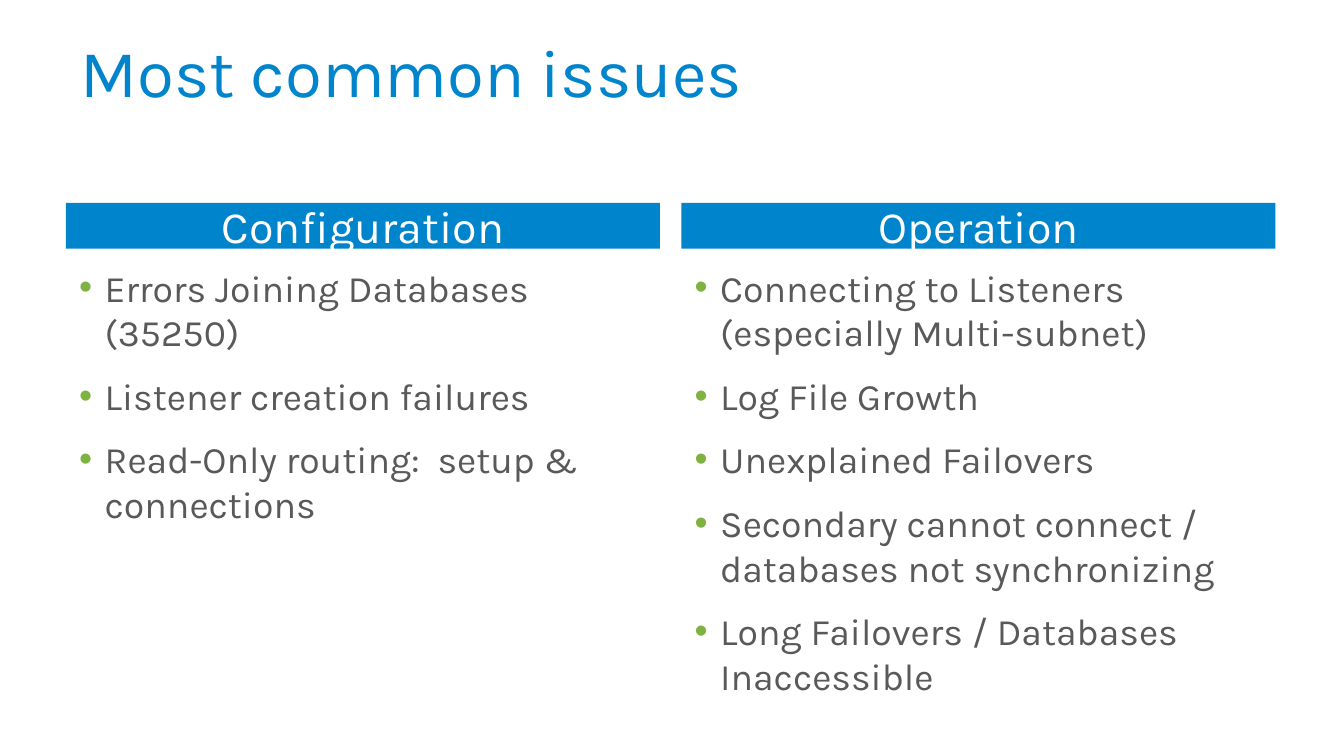
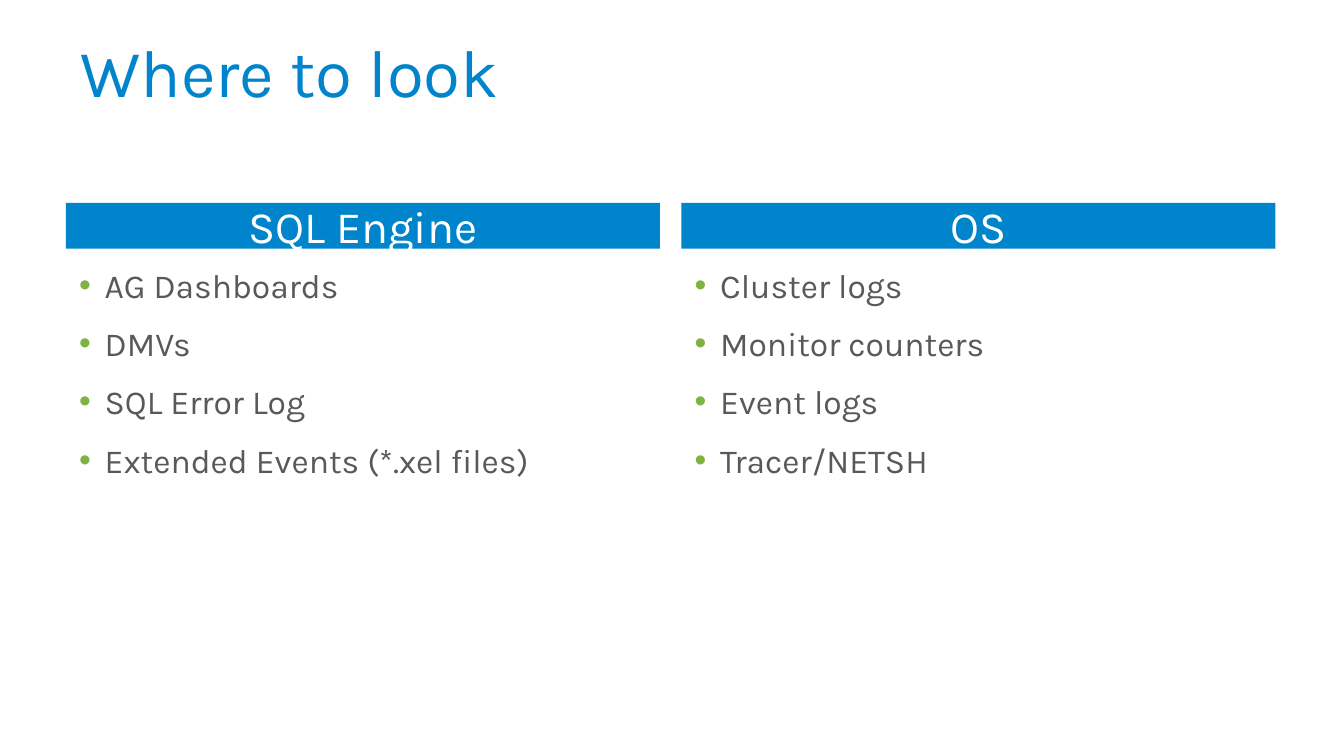
from lxml import etree
from pptx import Presentation
from pptx.dml.color import RGBColor
from pptx.enum.shapes import MSO_SHAPE
from pptx.enum.text import MSO_ANCHOR, MSO_AUTO_SIZE, PP_ALIGN
from pptx.oxml.ns import qn
from pptx.util import Emu, Pt

RECTANGLE = MSO_SHAPE.RECTANGLE
TOP, MIDDLE = MSO_ANCHOR.TOP, MSO_ANCHOR.MIDDLE
LEFT, CENTER = PP_ALIGN.LEFT, PP_ALIGN.CENTER
NO_AUTOFIT = MSO_AUTO_SIZE.NONE

EMU_PER_PX = 4572
SLIDE_SIZE = (2000, 1125)
TITLE_BOX = (100, 50, 1800, 134)
COLUMNS_BOX = (98, 302, 1800, 740)
COLUMN_GAP = 32
HEADING_HEIGHT = 68
LIST_OFFSET = 82
BULLET_INDENT = 38

FONT = "Karla"
COLORS = {"blue": "0084CC", "green": "7EB241", "gray": "595959", "white": "FFFFFF"}

SLIDES = [
    {
        "title": "Most common issues",
        "size": 20,
        "level": 2,
        "columns": [
            ("Configuration", [
                "Errors Joining Databases (35250)",
                "Listener creation failures",
                "Read-Only routing:  setup & connections",
            ]),
            ("Operation", [
                "Connecting to Listeners (especially Multi-subnet)",
                "Log File Growth",
                "Unexplained Failovers",
                "Secondary cannot connect / databases not synchronizing",
                "Long Failovers / Databases Inaccessible",
            ]),
        ],
    },
    {
        "title": "Where to look",
        "size": 18,
        "level": 0,
        "columns": [
            ("SQL Engine", [
                "AG Dashboards",
                "DMVs",
                "SQL Error Log",
                "Extended Events (*.xel files)",
            ]),
            ("OS", [
                "Cluster logs",
                "Monitor counters",
                "Event logs",
                "Tracer/NETSH",
            ]),
        ],
    },
]


def px(length):
    return Emu(length * EMU_PER_PX)


def apply_format(target, values):
    for name, value in values.items():
        setattr(target, name, value)


def place(shape, box):
    names = ("left", "top", "width", "height")
    apply_format(shape, dict(zip(names, map(px, box))))


def format_frame(frame, anchor, vertical_margin):
    apply_format(frame, {
        "word_wrap": True,
        "auto_size": NO_AUTOFIT,
        "vertical_anchor": anchor,
        "margin_left": px(20),
        "margin_right": px(20),
        "margin_top": px(vertical_margin),
        "margin_bottom": px(vertical_margin),
    })


def write(paragraph, text, size, color, **paragraph_format):
    run = paragraph.add_run()
    run.text = text
    apply_format(run.font, {"name": FONT, "size": Pt(size)})
    run.font.color.rgb = RGBColor.from_string(COLORS[color])
    apply_format(paragraph, paragraph_format)


def add_bullet(paragraph, color):
    properties = paragraph._p.get_or_add_pPr()
    properties.set("marL", str(px(BULLET_INDENT)))
    properties.set("indent", str(-px(BULLET_INDENT)))
    bullet_color = etree.SubElement(properties, qn("a:buClr"))
    etree.SubElement(bullet_color, qn("a:srgbClr"), val=COLORS[color])
    etree.SubElement(properties, qn("a:buFont"), typeface="Arial")
    etree.SubElement(properties, qn("a:buChar"), char="•")


def add_title(slide, box, text):
    title = slide.shapes.title
    place(title, box)
    format_frame(title.text_frame, MIDDLE, 10)
    write(title.text_frame.paragraphs[0], text, 36, "blue",
          alignment=LEFT, line_spacing=Pt(35))


def add_heading(slide, box, text):
    heading = slide.shapes.add_shape(RECTANGLE, *map(px, box))
    heading.shadow.inherit = False
    heading.fill.solid()
    heading.fill.fore_color.rgb = RGBColor.from_string(COLORS["blue"])
    heading.line.fill.background()
    format_frame(heading.text_frame, MIDDLE, 0)
    write(heading.text_frame.paragraphs[0], text, 24, "white",
          alignment=CENTER, space_before=Pt(4.8))


def add_bullet_list(slide, box, items, size, level):
    frame = slide.shapes.add_textbox(*map(px, box)).text_frame
    format_frame(frame, TOP, 10)
    for index, item in enumerate(items):
        paragraph = frame.add_paragraph() if index else frame.paragraphs[0]
        write(paragraph, item, size, "gray", level=level, alignment=LEFT,
              space_before=Pt(size * 0.2), space_after=Pt(6))
        add_bullet(paragraph, "green")


def add_column(slide, box, heading, items, size, level):
    left, top, width, height = box
    add_heading(slide, (left, top, width, HEADING_HEIGHT), heading)
    list_box = (left, top + LIST_OFFSET, width, height - LIST_OFFSET)
    add_bullet_list(slide, list_box, items, size, level)


def add_columns(slide, box, content):
    left, top, width, height = box
    columns = content["columns"]
    column_width = (width - COLUMN_GAP * (len(columns) - 1)) // len(columns)
    for index, (heading, items) in enumerate(columns):
        column_left = left + index * (column_width + COLUMN_GAP)
        add_column(slide, (column_left, top, column_width, height),
                   heading, items, content["size"], content["level"])


def main():
    presentation = Presentation()
    presentation.slide_width, presentation.slide_height = map(px, SLIDE_SIZE)
    title_only = presentation.slide_layouts.get_by_name("Title Only")
    for content in SLIDES:
        slide = presentation.slides.add_slide(title_only)
        add_title(slide, TITLE_BOX, content["title"])
        add_columns(slide, COLUMNS_BOX, content)
    presentation.save("out.pptx")


if __name__ == "__main__":
    main()
